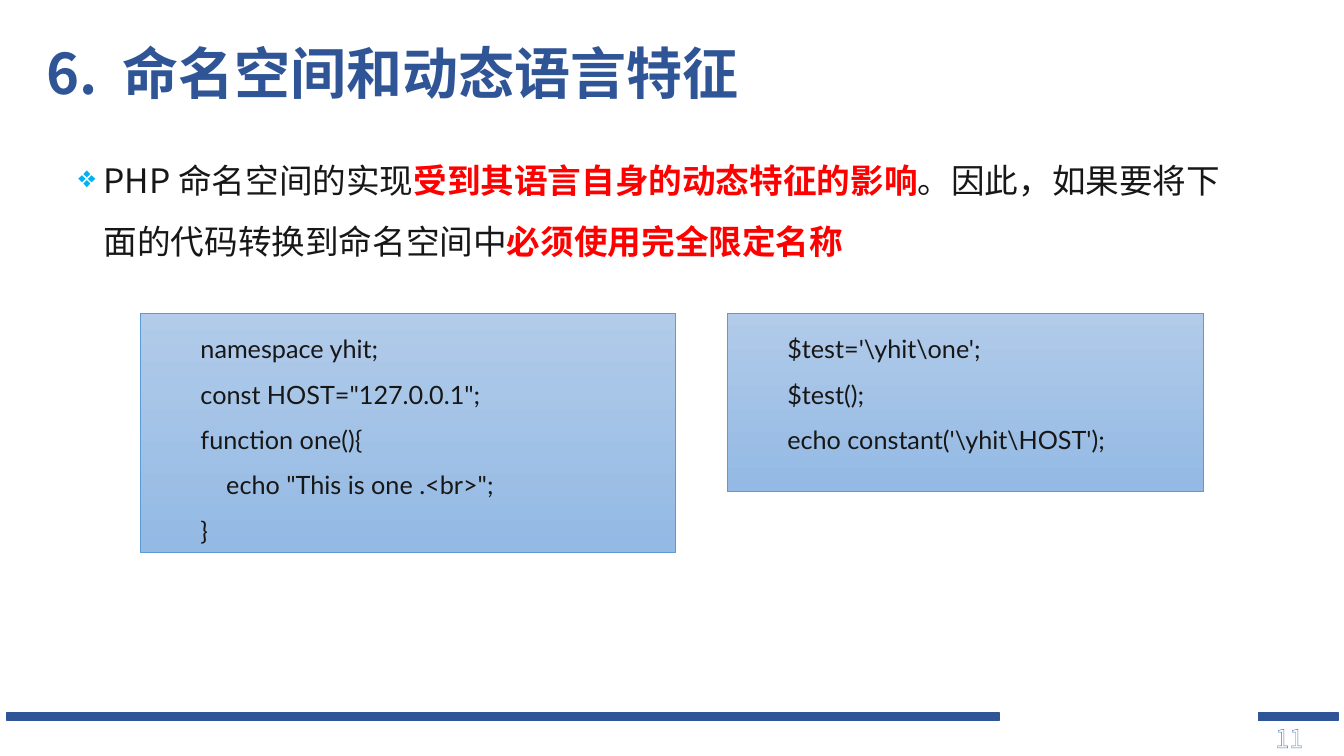
from lxml import etree
from pptx import Presentation, util as u
from pptx.dml.color import RGBColor
from pptx.enum import dml, shapes, text
from pptx.oxml import parse_xml
from pptx.oxml.ns import nsdecls, qn

NAVY = RGBColor(0x2F, 0x55, 0x97)
INK = RGBColor(0x18, 0x17, 0x17)
RED = RGBColor(0xFF, 0x00, 0x00)
WHITE = RGBColor(0xFF, 0xFF, 0xFF)
PALE_BLUE = RGBColor(0x8F, 0xAA, 0xDC)
PANEL_TOP = RGBColor(0xB1, 0xCB, 0xE9)
PANEL_BOTTOM = RGBColor(0x93, 0xB9, 0xE4)
PANEL_EDGE = RGBColor(0x5B, 0x9B, 0xD5)
HAN_FONT, CODE_FONT = "Noto Sans CJK SC", "Lato"

deck = Presentation()
deck.slide_width, deck.slide_height = u.Inches(13.33), u.Inches(7.5)
page = deck.slides.add_slide(deck.slide_layouts[6])


def place(left, top, width, height):
    """Turn columns and rows of a 100 by 100 grid into slide lengths."""
    col, row = deck.slide_width / 100, deck.slide_height / 100
    return [round(n) for n in (left * col, top * row, width * col, height * row)]


def add_span(para, words, size, color, font=HAN_FONT, bold=False):
    span = para.add_run()
    span.text = words
    span.font.size, span.font.bold, span.font.name = u.Pt(size), bold, font
    span.font.color.rgb = color
    etree.SubElement(span.font._element, qn("a:ea")).set("typeface", font)
    return span


# Footer bars and page number
for left, width in ((0.53, 73.82), (93.62, 5.93)):
    bar = page.shapes.add_shape(shapes.MSO_SHAPE.RECTANGLE, *place(left, 94.27, width, 1.07))
    bar.shadow.inherit = False
    bar.fill.solid()
    bar.fill.fore_color.rgb = bar.line.color.rgb = NAVY
    bar.line.width = u.Pt(1)

number_box = page.shapes.add_textbox(*place(94.15, 94.93, 5.4, 5.33))
number_box.text_frame.word_wrap = True
number = add_span(number_box.text_frame.paragraphs[0], "11", 18, PALE_BLUE)
number.font.fill.patterned()
number.font.fill.pattern = dml.MSO_PATTERN.LIGHT_DOWNWARD_DIAGONAL
number.font.fill.fore_color.rgb = PALE_BLUE
number.font.fill.back_color.rgb = WHITE
number.font._element.insert(0, parse_xml(
    f'<a:ln {nsdecls("a")} w="12700"><a:solidFill><a:srgbClr val="4472C4"/></a:solidFill></a:ln>'))

# Title
title_box = page.shapes.add_textbox(*place(2.7, 0.4, 86.27, 19.33))
title_box.text_frame.word_wrap = True
title_box.text_frame.vertical_anchor = text.MSO_ANCHOR.MIDDLE
title = title_box.text_frame.paragraphs[0]
title.line_spacing = 0.9
add_span(title, "6.  命名空间和动态语言特征", 40, NAVY, bold=True)

# Statement with emphasised phrases
body_box = page.shapes.add_textbox(*place(5.1, 17.87, 88.75, 77.07))
body_box.text_frame.word_wrap = True
statement = body_box.text_frame.paragraphs[0]
props = statement._p.get_or_add_pPr()
props.set("marL", str(u.Inches(0.25)))
props.set("indent", str(-u.Inches(0.25)))
for bullet in ('<a:buClr {}><a:srgbClr val="00B0F0"/></a:buClr>',
               '<a:buSzPct {} val="90000"/>',
               '<a:buChar {} char="❖"/>'):
    props.append(parse_xml(bullet.format(nsdecls("a"))))
statement.line_spacing = 1.5
for words, stressed in (("PHP 命名空间的实现", False),
                        ("受到其语言自身的动态特征的影响", True),
                        ("。因此，如果要将下面的代码转换到命名空间中", False),
                        ("必须使用完全限定名称", True)):
    add_span(statement, words, 24, RED if stressed else INK, bold=stressed)

# Code panels
PANELS = (
    (10.43, 39.83, 31.6, ("namespace yhit;",
                          'const HOST="127.0.0.1";',
                          "function one(){",
                          '    echo "This is one .<br>";',
                          "}")),
    (54.09, 35.48, 23.6, (r"$test='\yhit\one';",
                          "$test();",
                          r"echo constant('\yhit\HOST');")),
)
for left, width, height, code in PANELS:
    panel = page.shapes.add_shape(shapes.MSO_SHAPE.RECTANGLE, *place(left, 41.47, width, height))
    panel.shadow.inherit = False
    panel.fill.gradient()
    panel.fill.gradient_angle = 270
    for stop, color in zip(panel.fill.gradient_stops, (PANEL_TOP, PANEL_BOTTOM)):
        stop.color.rgb = color
    for stop, position in zip(panel.fill.gradient_stops, (0, 1)):
        stop.position = position
    panel.line.color.rgb, panel.line.width = PANEL_EDGE, u.Pt(0.5)
    frame = panel.text_frame
    frame.word_wrap, frame.vertical_anchor = True, text.MSO_ANCHOR.TOP
    for i, line in enumerate(code):
        para = frame.add_paragraph() if i else frame.paragraphs[0]
        para.level, para.alignment, para.line_spacing = 1, text.PP_ALIGN.LEFT, 1.5
        para._p.get_or_add_pPr().set("marL", str(u.Inches(0.5)))
        para._p.get_or_add_pPr().set("indent", "0")
        add_span(para, line, 18, INK, CODE_FONT)

deck.save("out.pptx")
